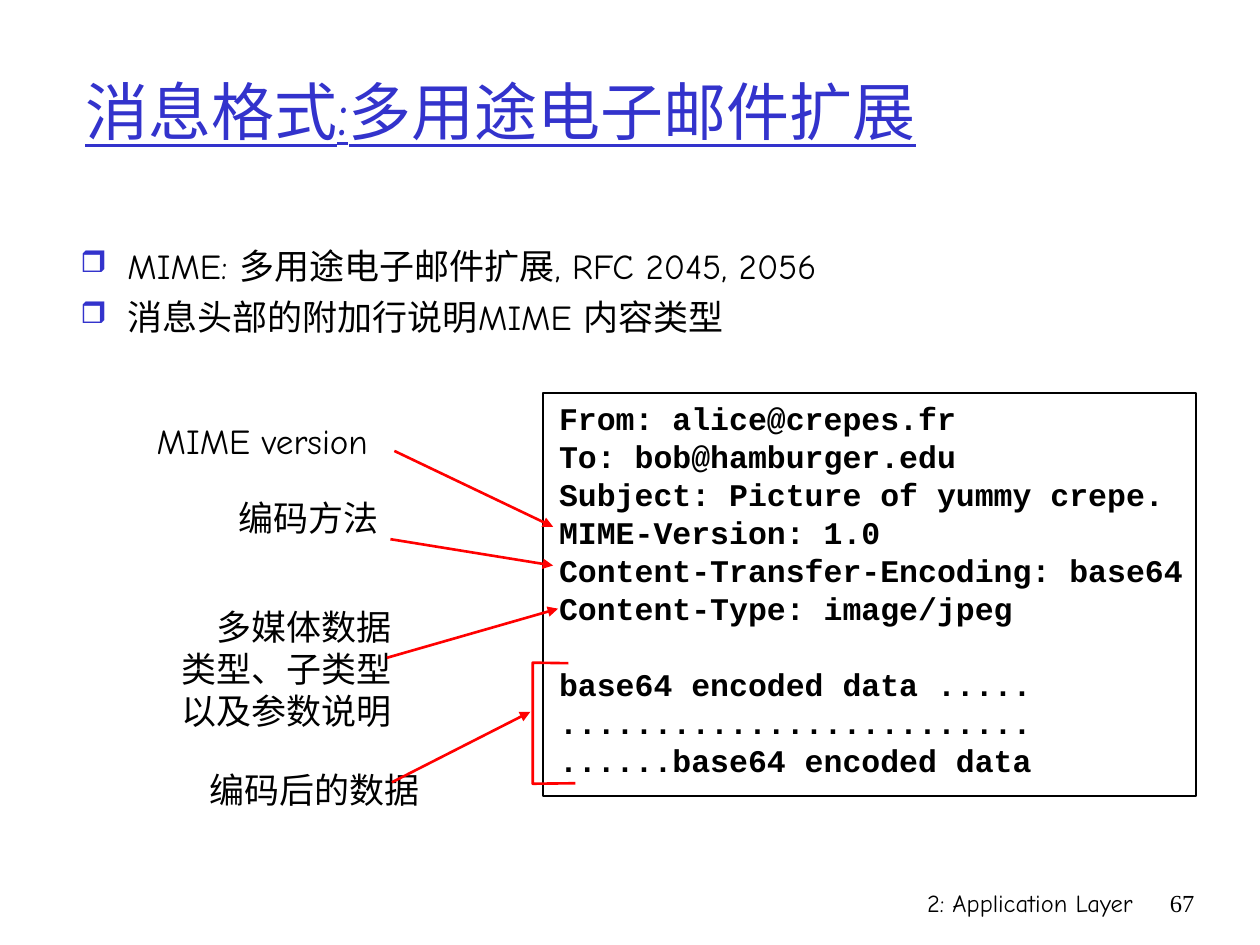
from lxml.etree import SubElement as Sub
from pptx import Presentation
from pptx.dml.color import RGBColor as Rgb
from pptx.enum.shapes import MSO_CONNECTOR as Conn, MSO_SHAPE as Shape
from pptx.enum.text import MSO_ANCHOR as Anchor, MSO_AUTO_SIZE as Auto, PP_ALIGN as Align
from pptx.oxml.ns import qn
from pptx.util import Cm, Pt

COLORS = {"ink": "000000", "blue": "3333CC", "red": "FF0000"}
SANS, SERIF, MONO = "Comic Neue", "Times New Roman", "Courier New"
PITCH = Pt(21.7)

BULLETS = ["MIME: 多用途电子邮件扩展, RFC 2045, 2056", "消息头部的附加行说明MIME 内容类型"]
HEADER = [
    "From: alice@crepes.fr",
    "To: bob@hamburger.edu",
    "Subject: Picture of yummy crepe.",
    "MIME-Version: 1.0",
    "Content-Transfer-Encoding: base64",
    "Content-Type: image/jpeg",
]
BODY = [
    "base64 encoded data .....",
    ".........................",
    "......base64 encoded data",
]
LABELS = [
    ((2.9, 8.33, 4.78, 1.12), ["MIME version"], Align.CENTER),
    ((4.55, 9.88, 3.33, 1.12), ["编码方法"], Align.RIGHT),
    ((3.4, 12.09, 4.75, 2.79), ["多媒体数据", "类型、子类型", "以及参数说明"], Align.RIGHT),
    ((3.96, 15.37, 4.75, 1.12), ["编码后的数据"], Align.RIGHT),
]
ARROWS = [
    (7.95, 9.09, 11.15, 10.62),
    (7.87, 10.87, 11.15, 11.4),
    (7.8, 13.26, 11.25, 12.27),
    (7.9, 15.77, 10.69, 14.35),
]
BRACKET = [(11.46, 13.37), (10.74, 13.36), (10.74, 15.8), (11.6, 15.79)]


def color(name):
    return Rgb.from_string(COLORS[name])


def add_text(slide, box, lines, size, face=SANS, tint="ink", align=Align.LEFT,
             bold=None, under=None, wrap=True):
    """Add a text box with one paragraph per line and return its frame."""
    frame = slide.shapes.add_textbox(*map(Cm, box)).text_frame
    frame.word_wrap = wrap
    for i, line in enumerate(lines):
        para = frame.add_paragraph() if i else frame.paragraphs[0]
        para.alignment = align
        run = para.add_run()
        run.text = line
        font = run.font
        font.size, font.name, font.bold, font.underline = Pt(size), face, bold, under
        font.color.rgb = color(tint)
    return frame


def add_bullets(slide, box, lines):
    frame = add_text(slide, box, lines, 20)
    for i, para in enumerate(frame.paragraphs):
        props = para._p.get_or_add_pPr()
        props.set("marL", str(Cm(0.95)))
        props.set("indent", str(-Cm(0.95)))
        if i:
            para.space_before = Pt(5)
        tint = Sub(props, qn("a:buClr"))
        Sub(tint, qn("a:srgbClr"), val=COLORS["blue"])
        Sub(props, qn("a:buSzPct"), val="85000")
        Sub(props, qn("a:buChar"), char="❒")


def add_mail(slide):
    """Add the framed message, with a one-line gap before its body."""
    frame = add_text(slide, (11.02, 7.92, 13.82, 8.64), HEADER + BODY, 18, MONO, bold=True)
    for para in frame.paragraphs:
        para.line_spacing = PITCH
    frame.paragraphs[len(HEADER)].space_before = PITCH
    rect = slide.shapes.add_shape(Shape.RECTANGLE, *map(Cm, (10.95, 7.92, 13.16, 8.13)))
    rect.fill.background()
    set_line(rect, "ink", 1)
    rect.shadow.inherit = False


def set_line(shape, tint, width):
    shape.line.color.rgb = color(tint)
    shape.line.width = Pt(width)


def add_arrow(slide, ends):
    arrow = slide.shapes.add_connector(Conn.STRAIGHT, *map(Cm, ends))
    set_line(arrow, "red", 1.5)
    Sub(arrow.line._get_or_add_ln(), qn("a:tailEnd"), type="triangle")
    Sub(arrow._element.spPr, qn("a:effectLst"))


def add_bracket(slide, points):
    start, *rest = [(Cm(x), Cm(y)) for x, y in points]
    pen = slide.shapes.build_freeform(*start)
    pen.add_line_segments(rest, close=False)
    shape = pen.convert_to_shape()
    shape.fill.background()
    set_line(shape, "red", 1.5)
    shape.shadow.inherit = False


def main():
    deck = Presentation()
    deck.slide_width, deck.slide_height = Cm(25.4), Cm(19.05)
    slide = deck.slides.add_slide(deck.slide_layouts[6])

    add_text(slide, (15.04, 17.78, 8.05, 1.27), ["2: Application Layer"], 14, align=Align.RIGHT)
    add_text(slide, (23.06, 17.78, 1.27, 1.27), ["67"], 14, SERIF, align=Align.RIGHT)
    title = add_text(slide, (1.47, 0.64, 23.29, 3.18), ["消息格式:多用途电子邮件扩展"], 36,
                     tint="blue", under=True)
    title.vertical_anchor = Anchor.MIDDLE
    add_bullets(slide, (1.37, 4.8, 20.35, 11.94), BULLETS)
    add_mail(slide)
    for box, lines, align in LABELS:
        label = add_text(slide, box, lines, 20, align=align, wrap=False)
        label.auto_size = Auto.SHAPE_TO_FIT_TEXT
    for ends in ARROWS:
        add_arrow(slide, ends)
    add_bracket(slide, BRACKET)
    deck.save("out.pptx")


if __name__ == "__main__":
    main()
